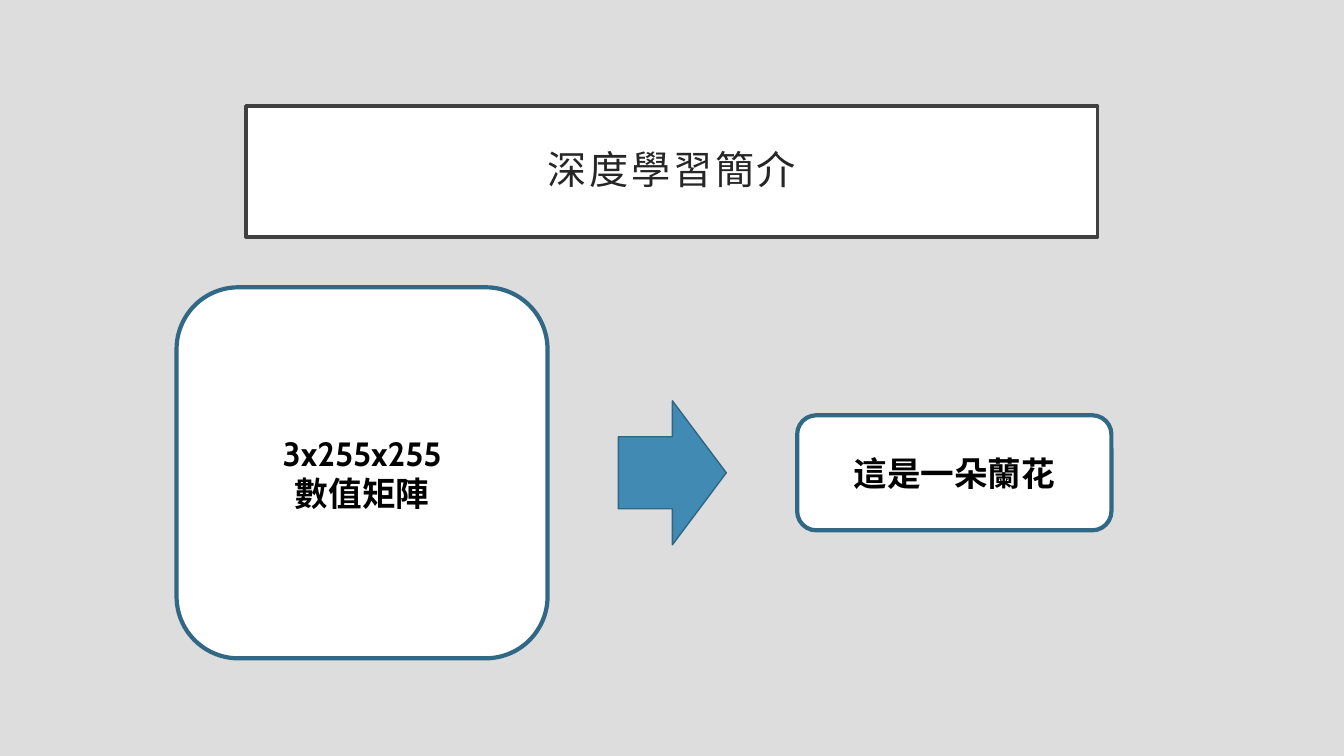
from dataclasses import dataclass

from pptx import Presentation
from pptx import util as u
from pptx.dml.color import RGBColor
from pptx.enum import shapes, text


@dataclass(frozen=True)
class Theme:
    font: str = "Cabin"
    background: str = "DDDDDD"
    panel: str = "FFFFFF"
    title_line: str = "404040"
    title_text: str = "262626"
    box_line: str = "316886"
    box_text: str = "000000"
    arrow_fill: str = "418AB3"
    arrow_line: str = "306684"
    title_size: int = 28
    box_size: int = 24


THEME = Theme()


def apply_format(target, values):
    for name, value in values.items():
        setattr(target, name, value)


def paint(shape, fill, line, width):
    shape.fill.solid()
    shape.fill.fore_color.rgb = RGBColor.from_string(fill)
    shape.line.color.rgb = RGBColor.from_string(line)
    shape.line.width = u.Pt(width)


def write_lines(shape, lines, size, color, bold):
    frame = shape.text_frame
    apply_format(frame, {
        "text": "\n".join(lines),
        "word_wrap": True,
        "auto_size": text.MSO_AUTO_SIZE.NONE,
        "vertical_anchor": text.MSO_ANCHOR.MIDDLE,
    })
    for paragraph in frame.paragraphs:
        paragraph.alignment = text.PP_ALIGN.CENTER
        for run in paragraph.runs:
            apply_format(run.font, {"name": THEME.font, "size": u.Pt(size), "bold": bold})
            run.font.color.rgb = RGBColor.from_string(color)


def add_title(slide, box):
    title = slide.shapes.title
    apply_format(title, dict(zip(("left", "top", "width", "height"), map(u.Cm, box))))
    paint(title, THEME.panel, THEME.title_line, 2.5)
    write_lines(title, ["深度學習簡介"], THEME.title_size, THEME.title_text, False)
    margins = ("margin_left", "margin_top", "margin_right", "margin_bottom")
    apply_format(title.text_frame, dict.fromkeys(margins, u.Cm(0.51)))
    paragraph = title.text_frame.paragraphs[0]
    paragraph.line_spacing = 0.9
    paragraph.runs[0].font._element.set("spc", "200")


def add_step(slide, kind, box, fill, line, width):
    shape = slide.shapes.add_shape(kind, *map(u.Cm, box))
    shape.shadow.inherit = False
    paint(shape, fill, line, width)
    return shape


def add_flow(slide, box):
    left, top, width, height = box
    middle = top + height / 2
    arrow_width, arrow_height = 2.72, 3.63
    result_width, result_height = 7.92, 2.9
    gap = (width - height - arrow_width - result_width) / 2
    arrow_left = left + height + gap
    result_left = left + width - result_width
    steps = (
        ((left, top, height, height), ["3x255x255", "數值矩陣"]),
        ((result_left, middle - result_height / 2, result_width, result_height),
         ["這是一朵蘭花"]),
    )
    for step_box, lines in steps:
        shape = add_step(slide, shapes.MSO_SHAPE.ROUNDED_RECTANGLE, step_box,
                         THEME.panel, THEME.box_line, 3)
        write_lines(shape, lines, THEME.box_size, THEME.box_text, True)
    arrow_box = (arrow_left, middle - arrow_height / 2, arrow_width, arrow_height)
    add_step(slide, shapes.MSO_SHAPE.RIGHT_ARROW, arrow_box,
             THEME.arrow_fill, THEME.arrow_line, 1)


def main():
    presentation = Presentation()
    apply_format(presentation, {"slide_width": u.Cm(33.87), "slide_height": u.Cm(19.05)})
    slide = presentation.slides.add_slide(presentation.slide_layouts[5])
    slide.background.fill.solid()
    slide.background.fill.fore_color.rgb = RGBColor.from_string(THEME.background)
    add_title(slide, (6.2, 2.67, 21.46, 3.3))
    add_flow(slide, (4.45, 7.24, 23.56, 9.35))
    presentation.save("out.pptx")


if __name__ == "__main__":
    main()
